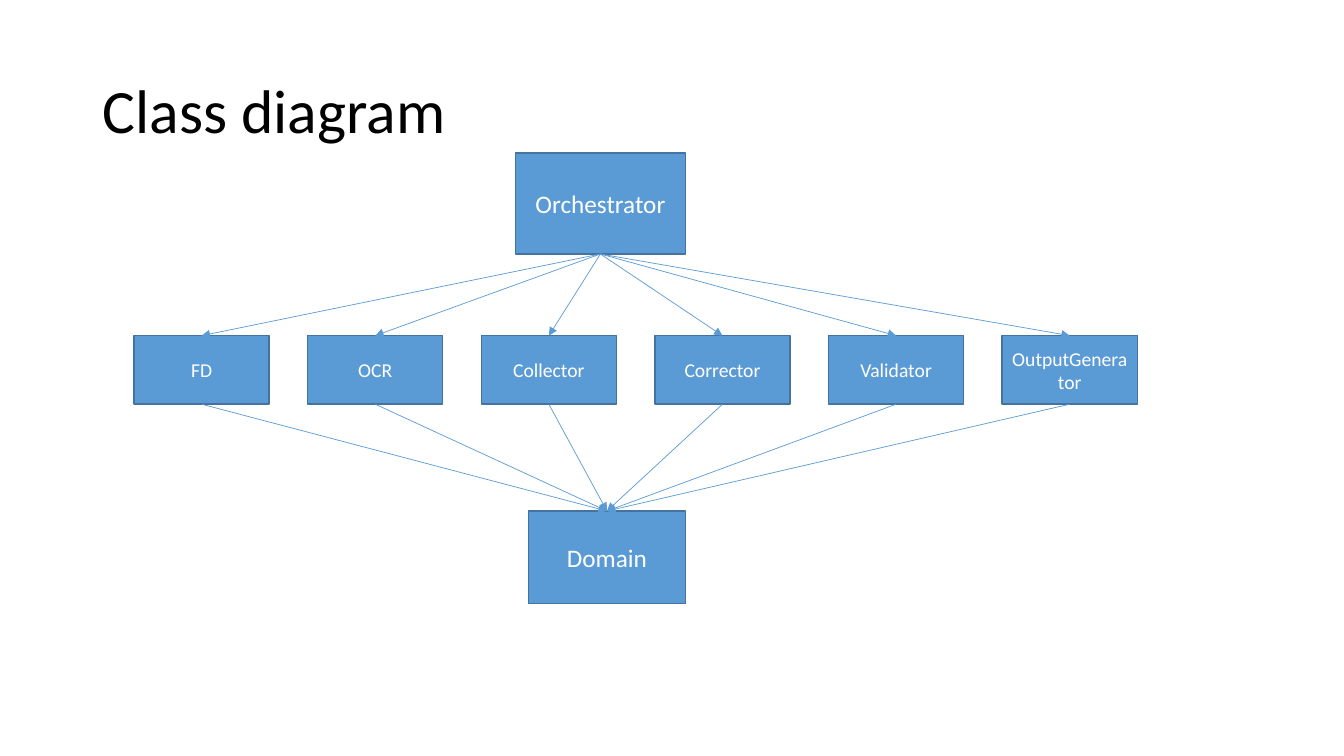
from dataclasses import dataclass

from lxml.etree import SubElement
from pptx import Presentation
from pptx.dml.color import RGBColor
from pptx.enum.shapes import MSO_CONNECTOR, MSO_SHAPE
from pptx.enum.text import MSO_ANCHOR, MSO_AUTO_SIZE, PP_ALIGN
from pptx.oxml.ns import qn
from pptx.util import Inches, Pt


@dataclass(frozen=True)
class Theme:
    """Colours, font and sizes used on the slide."""
    font: str = "Calibri"
    ink: str = "000000"
    paper: str = "FFFFFF"
    accent: str = "5B9BD5"
    border: str = "43739E"
    title_size: float = 44
    hub_size: float = 18
    component_size: float = 14
    border_width: float = 1
    arrow_width: float = 0.5


THEME = Theme()
TOP_SITE, BOTTOM_SITE = 0, 2
COMPONENTS = ["FD", "OCR", "Collector", "Corrector", "Validator", "OutputGenerator"]


def write_text(frame, text, *, size, color, align=PP_ALIGN.CENTER, line_spacing=1.0):
    """Put one formatted paragraph, vertically centred, in a text frame."""
    frame.word_wrap = True
    frame.auto_size = MSO_AUTO_SIZE.NONE
    frame.vertical_anchor = MSO_ANCHOR.MIDDLE
    paragraph = frame.paragraphs[0]
    paragraph.alignment = align
    paragraph.line_spacing = line_spacing
    run = paragraph.add_run()
    run.text = text
    run.font.name = THEME.font
    run.font.size = Pt(size)
    run.font.color.rgb = RGBColor.from_string(color)


def place_title(slide, text, left, top, width, height):
    """Move the title placeholder to its box and fill it."""
    title = slide.shapes.title
    title.left, title.top = Inches(left), Inches(top)
    title.width, title.height = Inches(width), Inches(height)
    write_text(title.text_frame, text, size=THEME.title_size, color=THEME.ink,
               align=PP_ALIGN.LEFT, line_spacing=0.9)


def add_class_box(slide, label, left, top, width, height, size):
    """Draw one class as a labelled rectangle."""
    box = slide.shapes.add_shape(MSO_SHAPE.RECTANGLE, Inches(left), Inches(top),
                                 Inches(width), Inches(height))
    box.shadow.inherit = False
    box.fill.solid()
    box.fill.fore_color.rgb = RGBColor.from_string(THEME.accent)
    box.line.color.rgb = RGBColor.from_string(THEME.border)
    box.line.width = Pt(THEME.border_width)
    write_text(box.text_frame, label, size=size, color=THEME.paper)
    return box


def add_component_row(slide, labels, left, top, width, height, box_width):
    """Spread equal class boxes evenly over the given width."""
    pitch = (width - box_width) / (len(labels) - 1)
    return [add_class_box(slide, label, left + i * pitch, top, box_width, height,
                          THEME.component_size)
            for i, label in enumerate(labels)]


def add_dependency(slide, user, used):
    """Glue an arrow from the bottom of one class to the top of another."""
    arrow = slide.shapes.add_connector(MSO_CONNECTOR.STRAIGHT, 0, 0, 0, 0)
    arrow.begin_connect(user, BOTTOM_SITE)
    arrow.end_connect(used, TOP_SITE)
    arrow.line.color.rgb = RGBColor.from_string(THEME.accent)
    arrow.line.width = Pt(THEME.arrow_width)
    SubElement(arrow.line._get_or_add_ln(), qn("a:tailEnd"), type="triangle")
    SubElement(arrow._element.spPr, qn("a:effectLst"))


def add_class_diagram(slide, left, top, width):
    """Draw the orchestrator, its components and the shared domain."""
    domain = add_class_box(slide, "Domain", left + 3.91, top + 3.55, 1.56, 0.92,
                           THEME.hub_size)
    orchestrator = add_class_box(slide, "Orchestrator", left + 3.78, top, 1.69, 1,
                                 THEME.hub_size)
    components = add_component_row(slide, COMPONENTS, left, top + 1.81, width, 0.68,
                                   box_width=1.34)
    for component in components:
        add_dependency(slide, orchestrator, component)
        add_dependency(slide, component, domain)


def main():
    """Build and save the slide."""
    deck = Presentation()
    deck.slide_width, deck.slide_height = Inches(13.33), Inches(7.5)
    slide = deck.slides.add_slide(deck.slide_layouts.get_by_name("Title Only"))
    slide.background.fill.solid()
    slide.background.fill.fore_color.rgb = RGBColor.from_string(THEME.paper)
    place_title(slide, "Class diagram", 0.92, 0.4, 11.5, 1.45)
    add_class_diagram(slide, 1.33, 1.52, 9.95)
    deck.save("out.pptx")


main()
